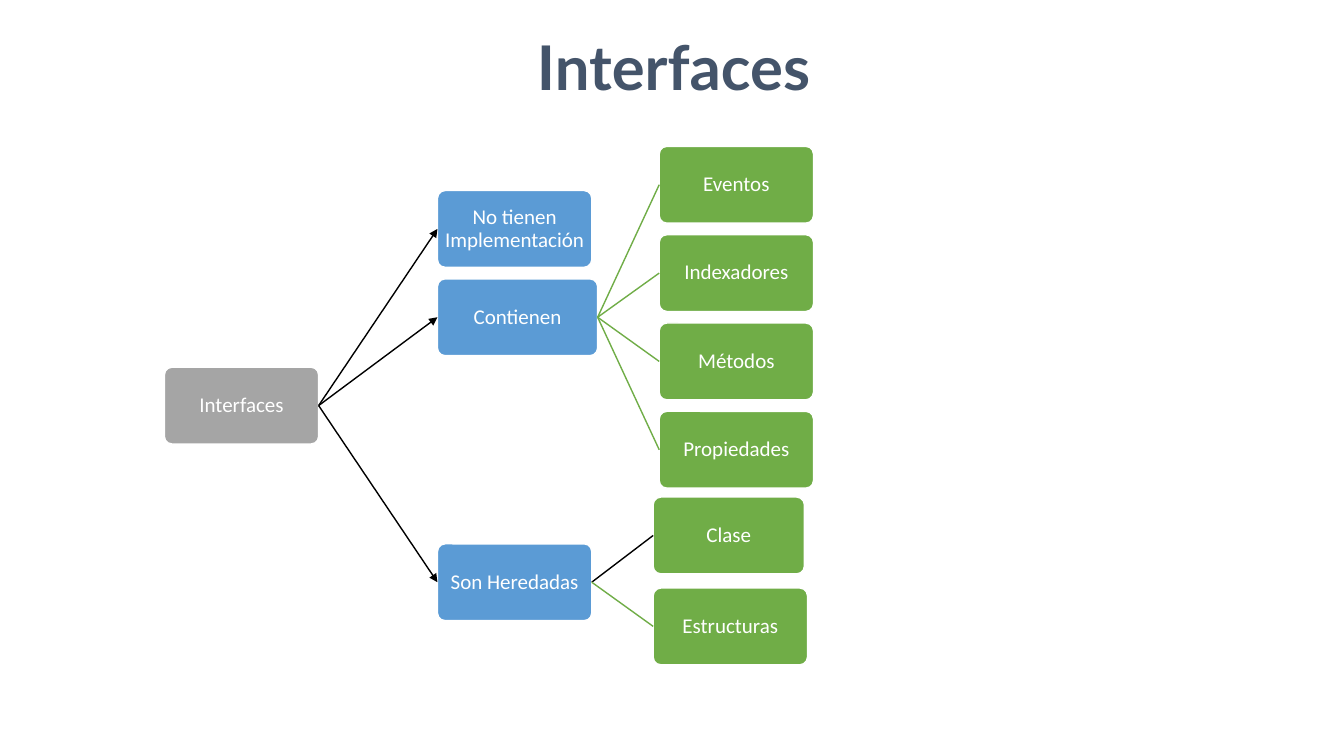
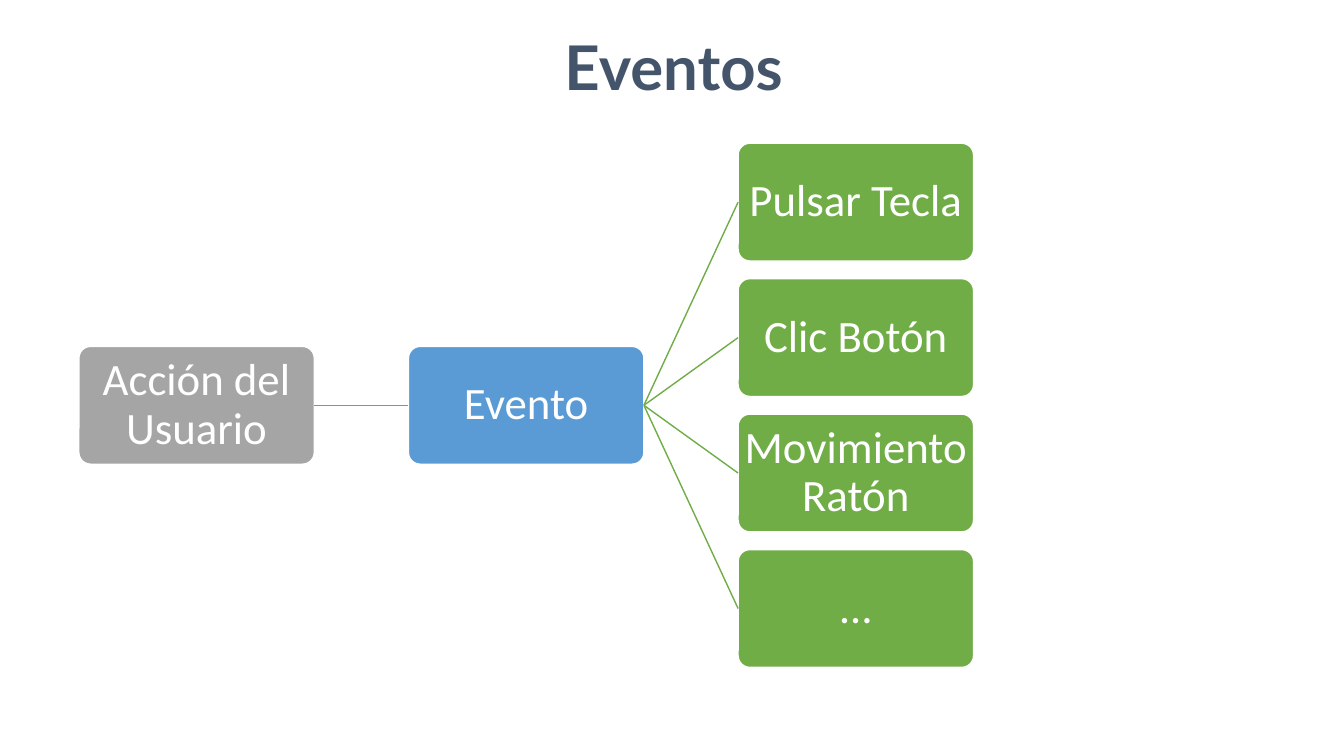
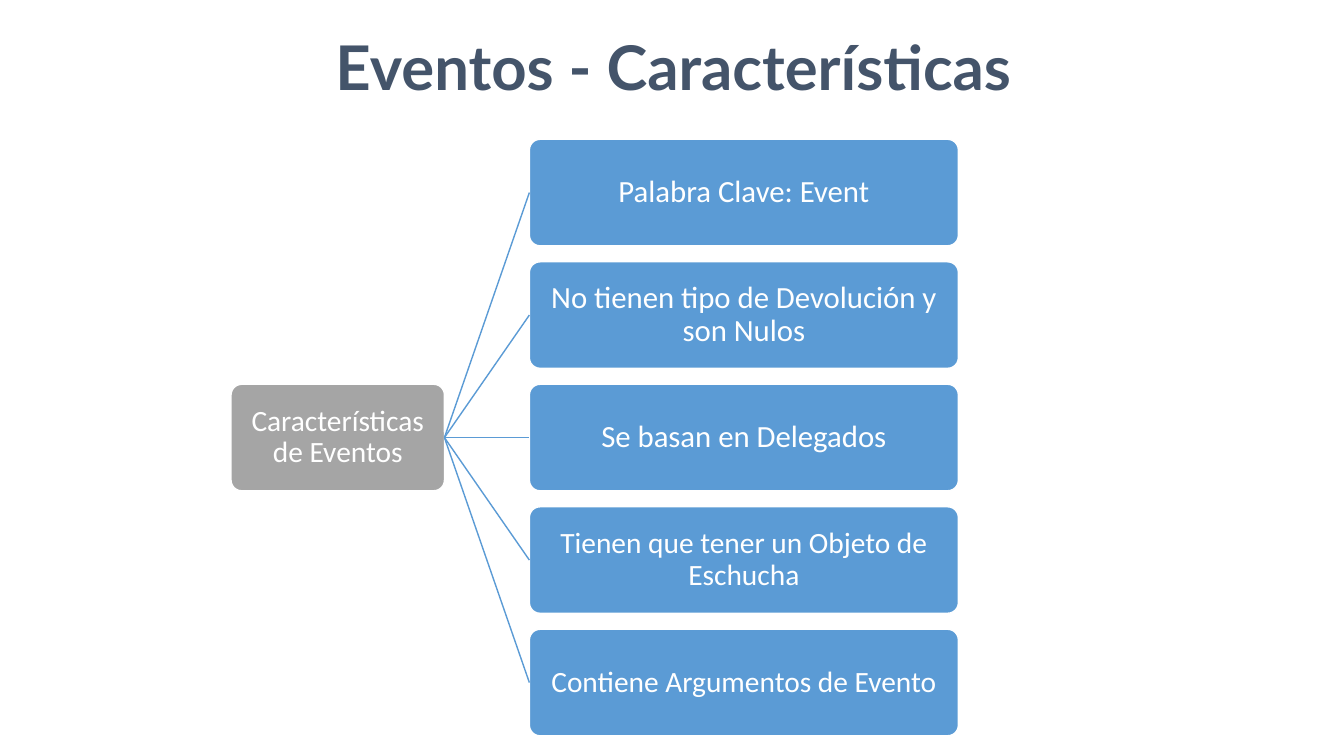
from lxml import etree
from pptx import Presentation
from pptx.dml.color import RGBColor
from pptx.enum.shapes import MSO_CONNECTOR as Link, MSO_SHAPE as Shape
from pptx.enum.text import MSO_ANCHOR as Anchor, PP_ALIGN as Align
from pptx.oxml.ns import qn
from pptx.util import Inches, Pt

BLACK = RGBColor(0x00, 0x00, 0x00)
WHITE = RGBColor(0xFF, 0xFF, 0xFF)
SLATE = RGBColor(0x44, 0x54, 0x6A)
GRAY = RGBColor(0xA5, 0xA5, 0xA5)
BLUE = RGBColor(0x5B, 0x9B, 0xD5)
GREEN = RGBColor(0x70, 0xAD, 0x47)

LEFT_SIDE, RIGHT_SIDE = 1, 3  # connection sites of a rounded box


class Deck:
    """Shared style and current slide; lengths are percent of the slide."""

    TITLE_FONT, BODY_FONT = "Lato", "Calibri"
    ROW_PITCH = 1.15  # distance between rows, in box heights

    def __init__(self):
        self.prs = Presentation()
        self.prs.slide_width, self.prs.slide_height = Inches(13.33), Inches(7.5)

    def x(self, share):
        return round(self.prs.slide_width * share / 100)

    def y(self, share):
        return round(self.prs.slide_height * share / 100)

    def new_slide(self, title, top, box_height, size):
        """Start a titled slide whose boxes sit on rows from top downwards."""
        self.shapes = self.prs.slides.add_slide(self.prs.slide_layouts[6]).shapes
        self.top, self.box_height, self.size = top, box_height, size
        heading = self.shapes.add_textbox(
            self.x(1), self.y(3.5), self.x(98.25), self.y(10.5))
        paragraph = self.label(heading, title, self.TITLE_FONT, 44, SLATE,
                               0.05, 0.02)
        paragraph.font.bold = True

    def label(self, holder, text, font_name, size, color, side, edge):
        """Centred text with side and edge margins in inches."""
        frame = holder.text_frame
        frame.text = text
        frame.word_wrap = True
        frame.margin_left = frame.margin_right = Inches(side)
        frame.margin_top = frame.margin_bottom = Inches(edge)
        paragraph = frame.paragraphs[0]
        paragraph.alignment = Align.CENTER
        font = paragraph.font
        font.name, font.size, font.color.rgb = font_name, Pt(size), color
        return paragraph

    def node(self, text, left, row, width, fill, size=None):
        """Rounded box; row may be fractional."""
        top = self.top + row * self.box_height * self.ROW_PITCH
        box = self.shapes.add_shape(
            Shape.ROUNDED_RECTANGLE, self.x(left), self.y(top),
            self.x(width), self.y(self.box_height))
        box.adjustments[0] = 0.1
        box.shadow.inherit = False
        box.fill.solid()
        box.fill.fore_color.rgb = fill
        box.line.color.rgb = WHITE
        box.line.width = Pt(1)
        box.text_frame.vertical_anchor = Anchor.MIDDLE
        paragraph = self.label(
            box, text, self.BODY_FONT, size or self.size, WHITE, 0.01, 0.01)
        paragraph.line_spacing = 0.9
        return box

    def column(self, texts, left, width, fill):
        """One box per row, starting at the first row."""
        return [self.node(text, left, row, width, fill)
                for row, text in enumerate(texts)]

    def join(self, parent, children, color, arrow=False):
        """Lines from the right of the parent to the left of each child."""
        for child in children:
            branch = self.shapes.add_connector(Link.STRAIGHT, 0, 0, 0, 0)
            branch.begin_connect(parent, RIGHT_SIDE)
            branch.end_connect(child, LEFT_SIDE)
            branch.line.color.rgb = color
            branch.line.width = Pt(1)
            properties = branch.element.spPr
            if arrow:
                etree.SubElement(properties.find(qn("a:ln")), qn("a:tailEnd"),
                                 type="triangle")
            etree.SubElement(properties, qn("a:effectLst"))


def interfaces(deck):
    deck.new_slide("Interfaces", top=19.36, box_height=10.16, size=15)
    width = 11.48
    root = deck.node("Interfaces", 12.23, 2.5, width, GRAY)
    # Traits
    abstract = deck.node("No tienen Implementación", 32.55, 0.5, width, BLUE)
    contain = deck.node("Contienen", 32.55, 1.5, 11.92, BLUE)
    inherited = deck.node("Son Heredadas", 32.55, 4.5, width, BLUE)
    deck.join(root, [abstract, contain, inherited], BLACK, arrow=True)
    # Members
    members = deck.column(["Eventos", "Indexadores", "Métodos", "Propiedades"],
                          49.05, width, GREEN)
    deck.join(contain, members, GREEN)
    # Heirs
    class_heir = deck.node("Clase", 48.6, 3.97, 11.25, GREEN)
    struct_heir = deck.node("Estructuras", 48.6, 5, width, GREEN)
    deck.join(inherited, [class_heir], BLACK)
    deck.join(inherited, [struct_heir], GREEN)


def events(deck):
    deck.new_slide("Eventos", top=18.95, box_height=15.58, size=32)
    width = 17.52
    # Cause and event
    action = deck.node("Acción del Usuario", 5.87, 1.5, width, GRAY)
    event = deck.node("Evento", 30.39, 1.5, width, BLUE)
    deck.join(action, [event], BLUE)
    # Examples
    examples = deck.column(
        ["Pulsar Tecla", "Clic Botón", "Movimiento Ratón", "…"],
        54.92, width, GREEN)
    deck.join(event, examples, GREEN)


def event_features(deck):
    deck.new_slide("Eventos - Características", top=18.43, box_height=14.09,
                   size=21)
    root = deck.node("Características de Eventos", 17.19, 2, 15.88, GRAY)
    # Features with their text sizes
    features = [("Palabra Clave: Event", 22),
                ("No tienen tipo de Devolución y son Nulos", 22),
                ("Se basan en Delegados", 22),
                ("Tienen que tener un Objeto de Eschucha", 21),
                ("Contiene Argumentos de Evento", 21)]
    boxes = [deck.node(text, 39.39, row, 31.92, BLUE, size)
             for row, (text, size) in enumerate(features)]
    deck.join(root, boxes, BLUE)


def main():
    deck = Deck()
    for build in (interfaces, events, event_features):
        build(deck)
    deck.prs.save("out.pptx")


if __name__ == "__main__":
    main()
